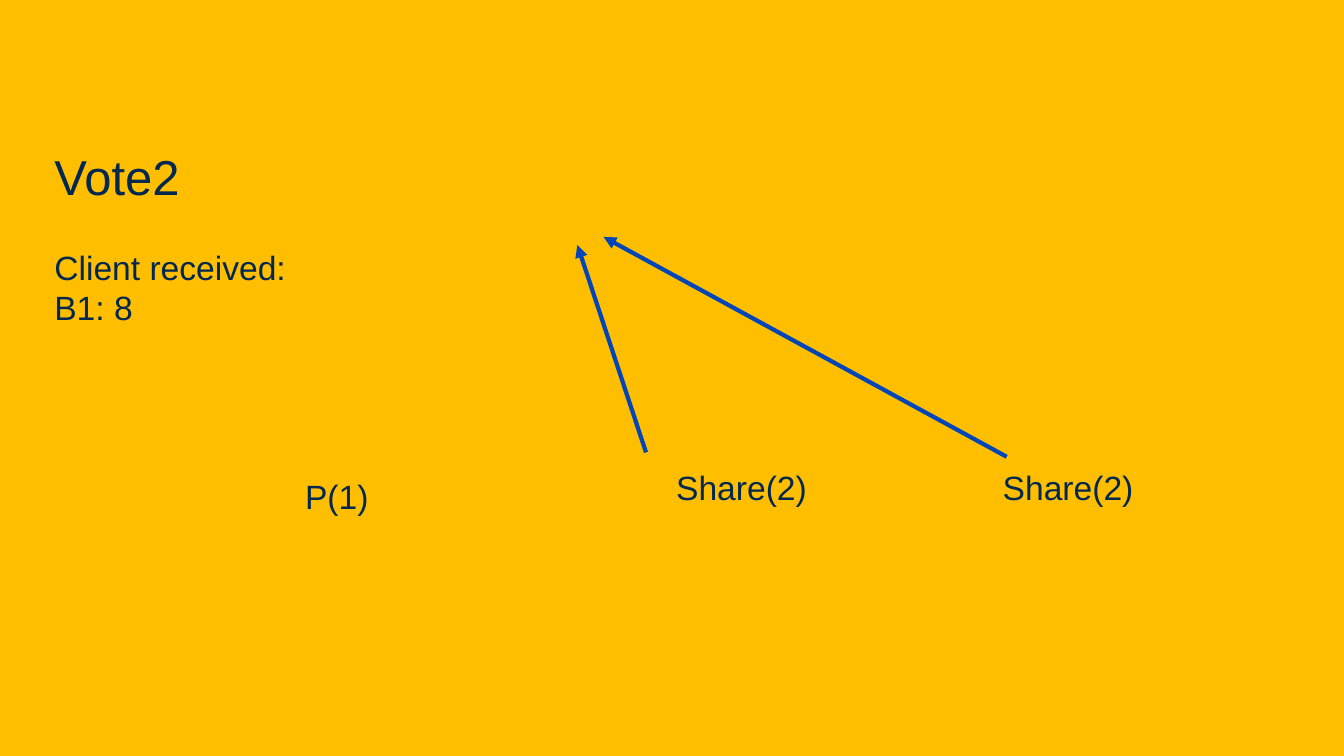
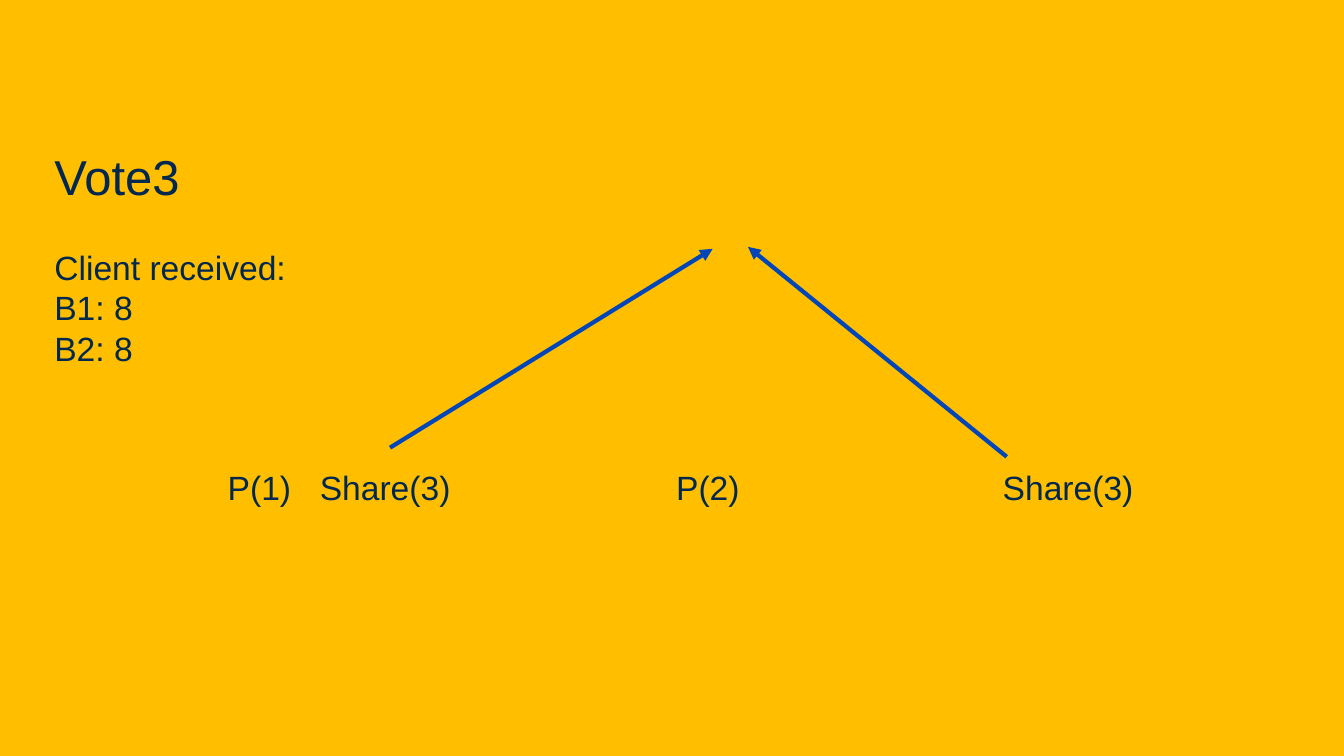
from dataclasses import dataclass
from typing import NamedTuple

from lxml import etree
from pptx import Presentation
from pptx.dml.color import RGBColor
from pptx.enum.shapes import MSO_CONNECTOR
from pptx.enum.text import MSO_ANCHOR, PP_ALIGN
from pptx.oxml.ns import qn
from pptx.util import Cm, Pt

STRAIGHT = MSO_CONNECTOR.STRAIGHT
TOP = MSO_ANCHOR.TOP
LEFT = PP_ALIGN.LEFT


@dataclass(frozen=True)
class Theme:
    background: RGBColor = RGBColor(0xFF, 0xBE, 0x00)
    ink: RGBColor = RGBColor(0x02, 0x28, 0x50)
    arrow: RGBColor = RGBColor(0x00, 0x46, 0xB9)
    font: str = "Arial"
    title_size: int = 35
    body_size: int = 24
    arrow_width: int = 3
    inset: float = 0.25


class Box(NamedTuple):
    left: float
    top: float
    width: float
    height: float

    def inner(self, left, top, width, height):
        return Box(self.left + left, self.top + top, width, height)


class Label(NamedTuple):
    text: str
    left: float
    top: float = 5.54
    width: float = 3.91


class Arrow(NamedTuple):
    start: tuple
    end: tuple


class Vote(NamedTuple):
    title: str
    received: list
    labels: list
    arrows: list


THEME = Theme()
SLIDE_WIDTH, SLIDE_HEIGHT = 33.87, 19.05
CLIENT_BOX = Box(1.12, 3.43, 7.32, 7.72)
SHARES_BOX = Box(5.49, 5.97, 23.44, 6.98)
LABEL_HEIGHT = 1.22
LABEL_TAB = 2.32
MIDDLE_LEFT, RIGHT_LEFT = 11.3, 19.53
RIGHT_START = (19.88, 5.54)

VOTES = [
    Vote(
        "Vote2",
        ["B1: 8"],
        [
            Label("P(1)", 1.95, 5.76),
            Label("Share(2)", MIDDLE_LEFT),
            Label("Share(2)", RIGHT_LEFT),
        ],
        [Arrow((10.79, 5.43), (9.06, 0.2)), Arrow(RIGHT_START, (9.72, 0))],
    ),
    Vote(
        "Vote3",
        ["B1: 8", "B2: 8"],
        [
            Label("P(1)\tShare(3)", 0, width=6.78),
            Label("P(2)", MIDDLE_LEFT),
            Label("Share(3)", RIGHT_LEFT),
        ],
        [Arrow((4.34, 5.31), (12.47, 0.3)), Arrow(RIGHT_START, (13.36, 0.25))],
    ),
]


def add_text(page, box, lines, size):
    frame = page.shapes.add_textbox(*map(Cm, box)).text_frame
    frame.word_wrap = True
    frame.vertical_anchor = TOP
    frame.margin_left = frame.margin_right = Cm(THEME.inset)
    frame.margin_top = frame.margin_bottom = Cm(THEME.inset)
    frame.text = "\n".join(lines)
    for para in frame.paragraphs:
        para.alignment = LEFT
        for span in para.runs:
            span.font.name = THEME.font
            span.font.size = Pt(size)
            span.font.color.rgb = THEME.ink
    return frame


def set_tab_stop(para, position):
    stops = etree.SubElement(para._p.get_or_add_pPr(), qn("a:tabLst"))
    etree.SubElement(stops, qn("a:tab"), pos=str(Cm(position)), algn="l")


def add_arrow(page, box, arrow):
    points = [
        Cm(origin + offset)
        for point in arrow
        for origin, offset in zip((box.left, box.top), point)
    ]
    connector = page.shapes.add_connector(STRAIGHT, *points)
    connector.line.color.rgb = THEME.arrow
    connector.line.width = Pt(THEME.arrow_width)
    etree.SubElement(connector.line._get_or_add_ln(), qn("a:tailEnd"), type="triangle")
    etree.SubElement(connector._element.spPr, qn("a:effectLst"))


def add_client_panel(page, box, title, received):
    add_text(page, box.inner(0, 0, 6.15, 2.46), [title], THEME.title_size)
    lines = ["Client received:", *received]
    add_text(page, box.inner(0, 2.54, box.width, 5.18), lines, THEME.body_size)


def add_share_diagram(page, box, labels, arrows):
    for arrow in arrows:
        add_arrow(page, box, arrow)
    for label in labels:
        place = box.inner(label.left, label.top, label.width, LABEL_HEIGHT)
        frame = add_text(page, place, [label.text], THEME.body_size)
        if "\t" in label.text:
            set_tab_stop(frame.paragraphs[0], LABEL_TAB)


def add_vote_slide(deck, vote):
    page = deck.slides.add_slide(deck.slide_layouts[6])
    page.background.fill.solid()
    page.background.fill.fore_color.rgb = THEME.background
    add_client_panel(page, CLIENT_BOX, vote.title, vote.received)
    add_share_diagram(page, SHARES_BOX, vote.labels, vote.arrows)


def main():
    deck = Presentation()
    deck.slide_width = Cm(SLIDE_WIDTH)
    deck.slide_height = Cm(SLIDE_HEIGHT)
    for vote in VOTES:
        add_vote_slide(deck, vote)
    deck.save("out.pptx")


if __name__ == "__main__":
    main()
